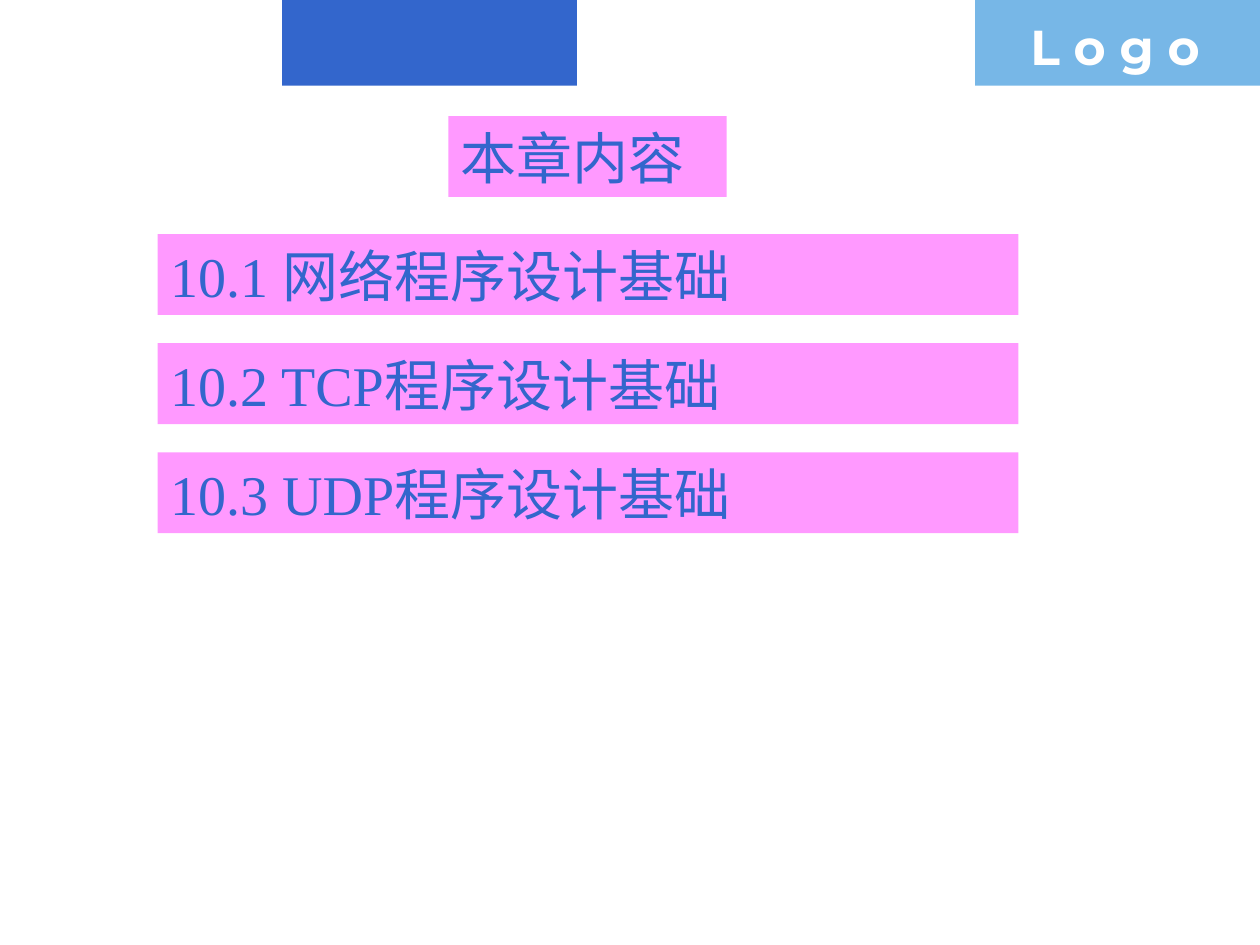
import pptx
import pptx.util
import pptx.dml.color
import pptx.enum.shapes
import pptx.enum.text

Cm = pptx.util.Cm
BLUE = "3366CC"
SKY = "77B7E7"
PINK = "FF99FF"
WHITE = "FFFFFF"


def tint(code):
    return pptx.dml.color.RGBColor.from_string(code)


def block(slide, box, fill):
    kind = pptx.enum.shapes.MSO_SHAPE.RECTANGLE
    shape = slide.shapes.add_shape(kind, *(Cm(side) for side in box))
    shape.shadow.inherit = False
    shape.fill.solid()
    shape.fill.fore_color.rgb = tint(fill)
    shape.line.fill.background()
    return shape


def write(shape, text, face, size, color, bold=False):
    frame = shape.text_frame
    frame.word_wrap = True
    frame.auto_size = pptx.enum.text.MSO_AUTO_SIZE.SHAPE_TO_FIT_TEXT
    line = frame.paragraphs[0]
    line.text = text
    line.alignment = pptx.enum.text.PP_ALIGN.LEFT
    line.font.name = face
    line.font.size = pptx.util.Pt(size)
    line.font.bold = bold
    line.font.color.rgb = tint(color)


def label(slide, box, text):
    shape = block(slide, box, PINK)
    write(shape, text, "Times New Roman", 32, BLUE)
    shape.text_frame.vertical_anchor = pptx.enum.text.MSO_ANCHOR.BOTTOM


def header(slide, box):
    left, top, width, height = box
    block(slide, (left, top, 5.94, height), BLUE)
    badge = left + width - 5.74
    block(slide, (badge, top, 5.74, height), SKY)
    logo = slide.shapes.add_textbox(Cm(badge + 0.86), Cm(top + 0.2), Cm(4.9), Cm(1.45))
    write(logo, "L o g o", "Montserrat", 28, WHITE, True)


def topics(slide, box, names):
    left, top, width, height = box
    tall = 1.63
    step = (height - tall) / (len(names) - 1)
    for row, name in enumerate(names):
        label(slide, (left, top + row * step, width, tall), name)


def main():
    deck = pptx.Presentation()
    deck.slide_width = Cm(25.4)
    deck.slide_height = Cm(19.05)
    slide = deck.slides.add_slide(deck.slide_layouts[6])
    header(slide, (5.69, 0, 19.71, 1.73))
    label(slide, (9.04, 2.34, 5.61, 1.63), "本章内容")
    topics(slide, (3.18, 4.72, 17.35, 6.03), [
        "10.1 网络程序设计基础",
        "10.2 TCP程序设计基础",
        "10.3 UDP程序设计基础",
    ])
    deck.save("out.pptx")


if __name__ == "__main__":
    main()
